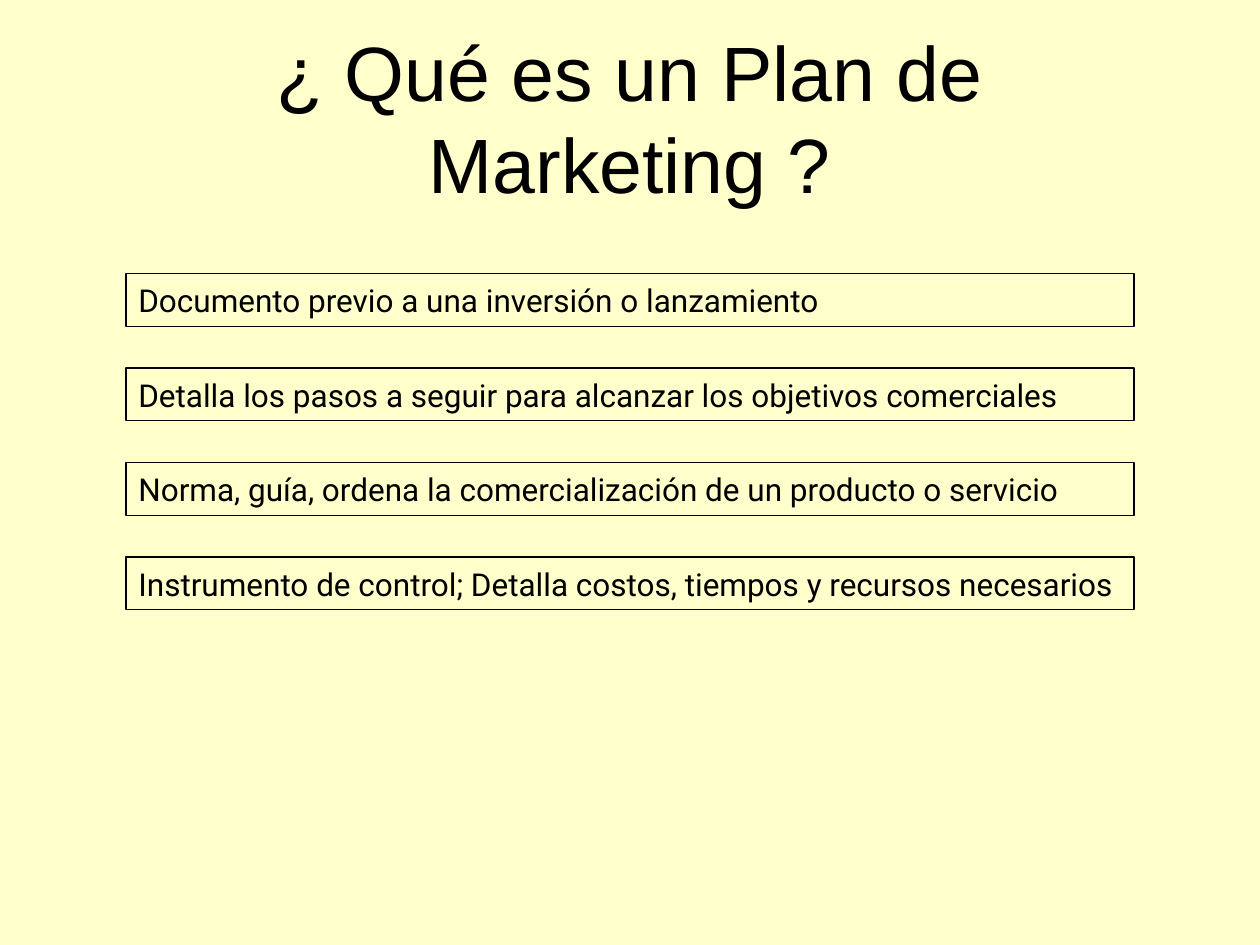
from dataclasses import dataclass

from pptx import Presentation
from pptx.dml.color import RGBColor
from pptx.enum.shapes import MSO_SHAPE
from pptx.enum.text import MSO_ANCHOR, PP_ALIGN
from pptx.shapes.autoshape import Shape
from pptx.slide import Slide
from pptx.util import Pt

RECT = MSO_SHAPE.RECTANGLE
MIDDLE = MSO_ANCHOR.MIDDLE
LEFT = PP_ALIGN.LEFT
CENTER = PP_ALIGN.CENTER

COLORS = {"paper": "FFFFCC", "ink": "000000"}
TITLE = "¿ Qué es un Plan de Marketing ?"
POINTS = [
    "Documento previo a una inversión o lanzamiento",
    "Detalla los pasos a seguir para alcanzar los objetivos comerciales",
    "Norma, guía, ordena la comercialización de un producto o servicio",
    "Instrumento de control; Detalla costos, tiempos y recursos necesarios",
]
TOP = 156.24
STEP = 54


@dataclass
class Style:
    font: str
    size: float
    align: PP_ALIGN
    wrap: bool
    before: float = 0


@dataclass
class Box:
    text: str
    left: float
    top: float
    width: float
    height: float


HEAD = Style("Arial", 44, CENTER, True)
BODY = Style("Roboto", 18, LEFT, False, 4.5)


def color(name: str) -> RGBColor:
    return RGBColor.from_string(COLORS[name])


def write(shape: Shape, text: str, style: Style) -> None:
    frame = shape.text_frame
    frame.word_wrap = style.wrap
    frame.vertical_anchor = MIDDLE
    frame.margin_left = frame.margin_right = Pt(7.2)
    frame.margin_top = frame.margin_bottom = Pt(3.6)
    para = frame.paragraphs[0]
    para.alignment = style.align
    para.space_before = Pt(style.before)
    run = para.add_run()
    run.text = text
    run.font.name = style.font
    run.font.size = Pt(style.size)
    run.font.color.rgb = color("ink")


def draw_title(slide: Slide, box: Box) -> None:
    shape = slide.shapes.add_textbox(
        Pt(box.left), Pt(box.top), Pt(box.width), Pt(box.height)
    )
    write(shape, box.text, HEAD)


def draw_point(slide: Slide, box: Box) -> None:
    shape = slide.shapes.add_shape(
        RECT, Pt(box.left), Pt(box.top), Pt(box.width), Pt(box.height)
    )
    shape.shadow.inherit = False
    shape.fill.background()
    shape.line.color.rgb = color("ink")
    shape.line.width = Pt(0.75)
    write(shape, box.text, BODY)


def main() -> None:
    deck = Presentation()
    deck.slide_width = Pt(720)
    deck.slide_height = Pt(540)
    slide = deck.slides.add_slide(deck.slide_layouts[6])
    fill = slide.background.fill
    fill.solid()
    fill.fore_color.rgb = color("paper")
    draw_title(slide, Box(TITLE, 36, 21.6, 648, 90))
    for index, text in enumerate(POINTS):
        draw_point(slide, Box(text, 72, TOP + index * STEP, 576, 30.24))
    deck.save("out.pptx")


if __name__ == "__main__":
    main()
